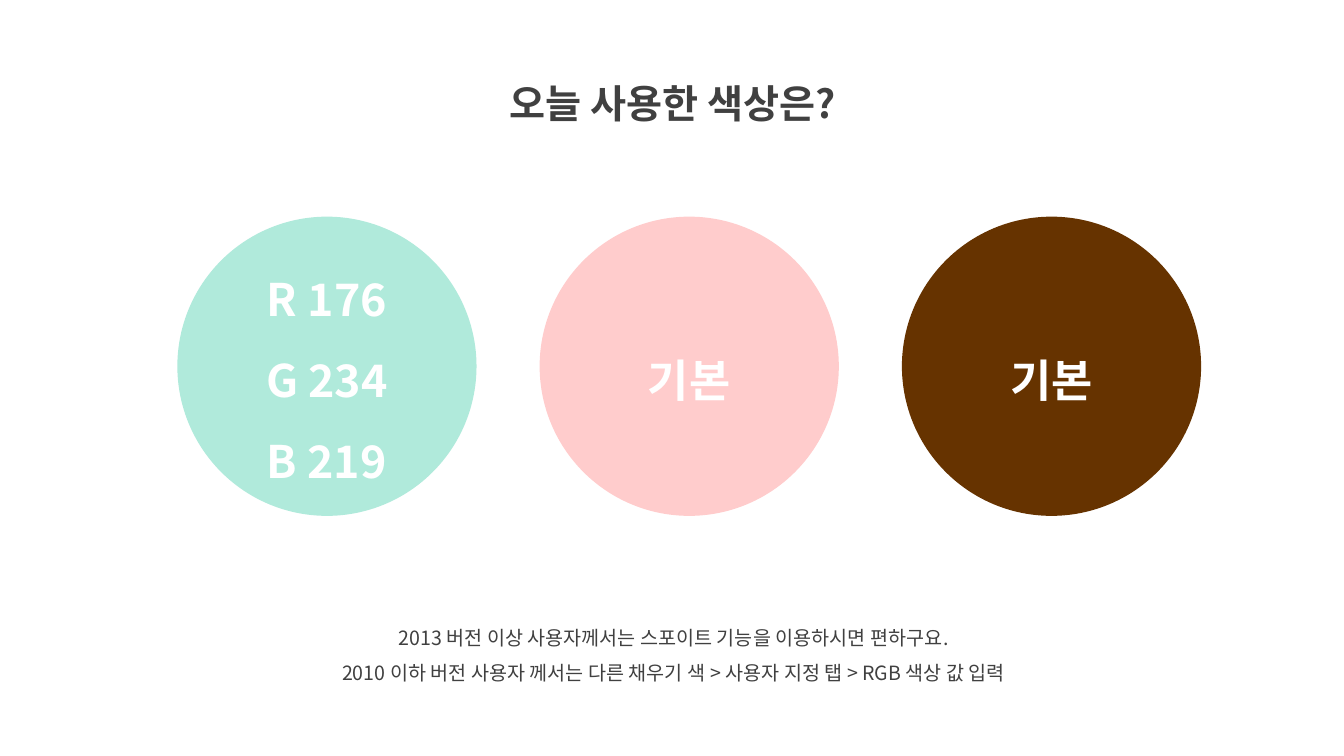
from dataclasses import dataclass

from lxml import etree
from pptx import Presentation
from pptx import util as u
from pptx.dml.color import RGBColor
from pptx.enum import shapes, text
from pptx.oxml import ns


@dataclass(frozen=True)
class Theme:
    """Colours, type sizes and font of the slide."""
    font: str = "Noto Sans CJK KR"
    ink: str = "404040"
    white: str = "FFFFFF"
    mint: str = "B0EADB"
    pink: str = "FFCCCC"
    brown: str = "663300"
    title: int = 28
    label: int = 32
    body: int = 14
    line_spacing: float = 1.5


def write_text(frame, lines, *, font, size, color, spacing, bold=False):
    """Fill a text frame with centred paragraphs, one per line."""
    frame.word_wrap = True
    for index, line in enumerate(lines):
        paragraph = frame.paragraphs[0] if index == 0 else frame.add_paragraph()
        paragraph.alignment = text.PP_ALIGN.CENTER
        paragraph.line_spacing = spacing
        run = paragraph.add_run()
        run.text = line
        run.font.name = font
        run.font.size = u.Pt(size)
        run.font.bold = bold
        run.font.color.rgb = RGBColor.from_string(color)
        # Hangul takes its typeface from the East Asian font slot
        etree.SubElement(run.font._element, ns.qn("a:ea"), typeface=font)


class SlideBuilder:
    """Holds the theme and the slide being built."""

    def __init__(self, slide, theme):
        """Keep the slide and its theme."""
        self.slide = slide
        self.theme = theme

    def text_box(self, left, top, width, height, lines, size, bold=False):
        """Add a dark centred text box, measured in centimetres."""
        box = self.slide.shapes.add_textbox(
            u.Cm(left), u.Cm(top), u.Cm(width), u.Cm(height))
        write_text(box.text_frame, lines, font=self.theme.font, size=size,
                   color=self.theme.ink, spacing=self.theme.line_spacing, bold=bold)
        box.text_frame.auto_size = text.MSO_AUTO_SIZE.SHAPE_TO_FIT_TEXT

    def swatch(self, left, top, diameter, color, lines):
        """Add a filled circle with a white label."""
        circle = self.slide.shapes.add_shape(
            shapes.MSO_SHAPE.OVAL, u.Cm(left), u.Cm(top), u.Cm(diameter), u.Cm(diameter))
        circle.shadow.inherit = False
        circle.fill.solid()
        circle.fill.fore_color.rgb = RGBColor.from_string(color)
        circle.line.fill.background()
        circle.text_frame.vertical_anchor = text.MSO_ANCHOR.MIDDLE
        write_text(circle.text_frame, lines, font=self.theme.font,
                   size=self.theme.label, color=self.theme.white,
                   spacing=self.theme.line_spacing, bold=True)


def main():
    """Build and save the colour palette slide."""
    theme = Theme()
    deck = Presentation()
    deck.slide_width, deck.slide_height = u.Cm(33.87), u.Cm(19.05)
    builder = SlideBuilder(deck.slides.add_slide(deck.slide_layouts[6]), theme)

    builder.text_box(11.07, 1.27, 11.76, 1.83, ["오늘 사용한 색상은?"],
                     theme.title, bold=True)

    palette = [
        (theme.mint, ["R 176", "G 234", "B 219"]),
        (theme.pink, ["기본"]),
        (theme.brown, ["기본"]),
    ]
    first_left, swatch_top, diameter, gap = 4.47, 5.46, 7.54, 1.59
    for column, (color, lines) in enumerate(palette):
        builder.swatch(first_left + column * (diameter + gap), swatch_top,
                       diameter, color, lines)

    builder.text_box(6.83, 15.34, 20.29, 2.06, [
        "2013 버전 이상 사용자께서는 스포이트 기능을 이용하시면 편하구요.",
        "2010 이하 버전 사용자 께서는 다른 채우기 색 > 사용자 지정 탭 > RGB 색상 값 입력",
    ], theme.body)

    deck.save("out.pptx")


main()
